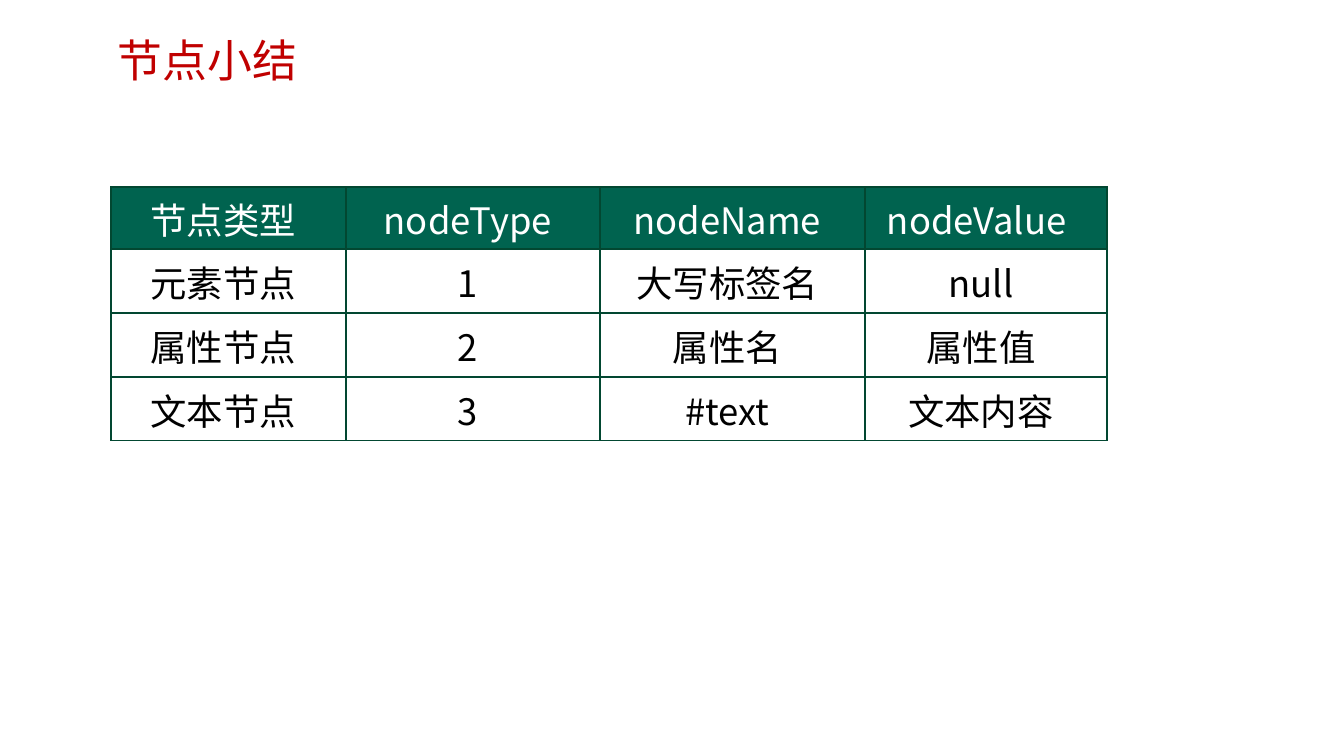
"""Build a slide with a table that sums up DOM node types."""
import lxml.etree
import pptx
import pptx.dml.color
import pptx.enum.text
import pptx.oxml.ns
import pptx.util

RED = pptx.dml.color.RGBColor(0xC0, 0x00, 0x00)
GREEN = pptx.dml.color.RGBColor(0x00, 0x63, 0x4F)
DARK_GREEN = pptx.dml.color.RGBColor(0x02, 0x47, 0x31)
WHITE = pptx.dml.color.RGBColor(0xFF, 0xFF, 0xFF)
BLACK = pptx.dml.color.RGBColor(0x00, 0x00, 0x00)
FONT = "Noto Sans CJK SC"
EMU_PER_PX = 914400 / 100.8
qn = pptx.oxml.ns.qn


def px(length):
    return pptx.util.Emu(round(length * EMU_PER_PX))


def write(frame, text, *, size, color, align=pptx.enum.text.PP_ALIGN.LEFT):
    paragraph = frame.paragraphs[0]
    paragraph.alignment = align
    run = paragraph.add_run()
    run.text = text
    run.font.size = pptx.util.Pt(size)
    run.font.color.rgb = color
    run.font.name = FONT
    lxml.etree.SubElement(run._r.get_or_add_rPr(), qn("a:ea"), typeface=FONT)


deck = pptx.Presentation()
deck.slide_width, deck.slide_height = px(1344), px(756)
slide = deck.slides.add_slide(deck.slide_layouts[6])

title = slide.shapes.add_textbox(px(108), px(28), px(250), px(64)).text_frame
title.word_wrap = True
write(title, "节点小结", size=32, color=RED)

node_rows = [
    ["节点类型", "nodeType", "nodeName", "nodeValue "],
    ["元素节点", "1", "大写标签名", "null"],
    ["属性节点", "2", "属性名", "属性值"],
    ["文本节点", "3", "#text", "文本内容"],
]
column_widths = [235, 254, 265, 242]
row_heights = [62, 64, 64, 64]
node_table = slide.shapes.add_table(
    len(node_rows), len(column_widths), px(111), px(187),
    px(sum(column_widths)), px(sum(row_heights)),
).table
for column, width in zip(node_table.columns, column_widths):
    column.width = px(width)

for row_index, (labels, height) in enumerate(zip(node_rows, row_heights)):
    node_table.rows[row_index].height = px(height)
    is_header = row_index == 0
    for column_index, label in enumerate(labels):
        cell = node_table.cell(row_index, column_index)
        cell.vertical_anchor = pptx.enum.text.MSO_ANCHOR.MIDDLE
        cell.margin_left, cell.margin_right = px(6), px(16)
        cell.margin_top = cell.margin_bottom = px(5 if is_header else 6)
        if is_header:
            cell.fill.solid()
            cell.fill.fore_color.rgb = GREEN
        else:
            cell.fill.background()
        write(cell.text_frame, label, size=26, color=WHITE if is_header else BLACK,
              align=pptx.enum.text.PP_ALIGN.CENTER)
        cell_properties = cell._tc.get_or_add_tcPr()
        for position, side in enumerate(["a:lnL", "a:lnR", "a:lnT", "a:lnB"]):
            border = lxml.etree.Element(qn(side), w=str(pptx.util.Pt(1)))
            border_fill = lxml.etree.SubElement(border, qn("a:solidFill"))
            lxml.etree.SubElement(border_fill, qn("a:srgbClr"), val=str(DARK_GREEN))
            cell_properties.insert(position, border)

deck.save("out.pptx")
